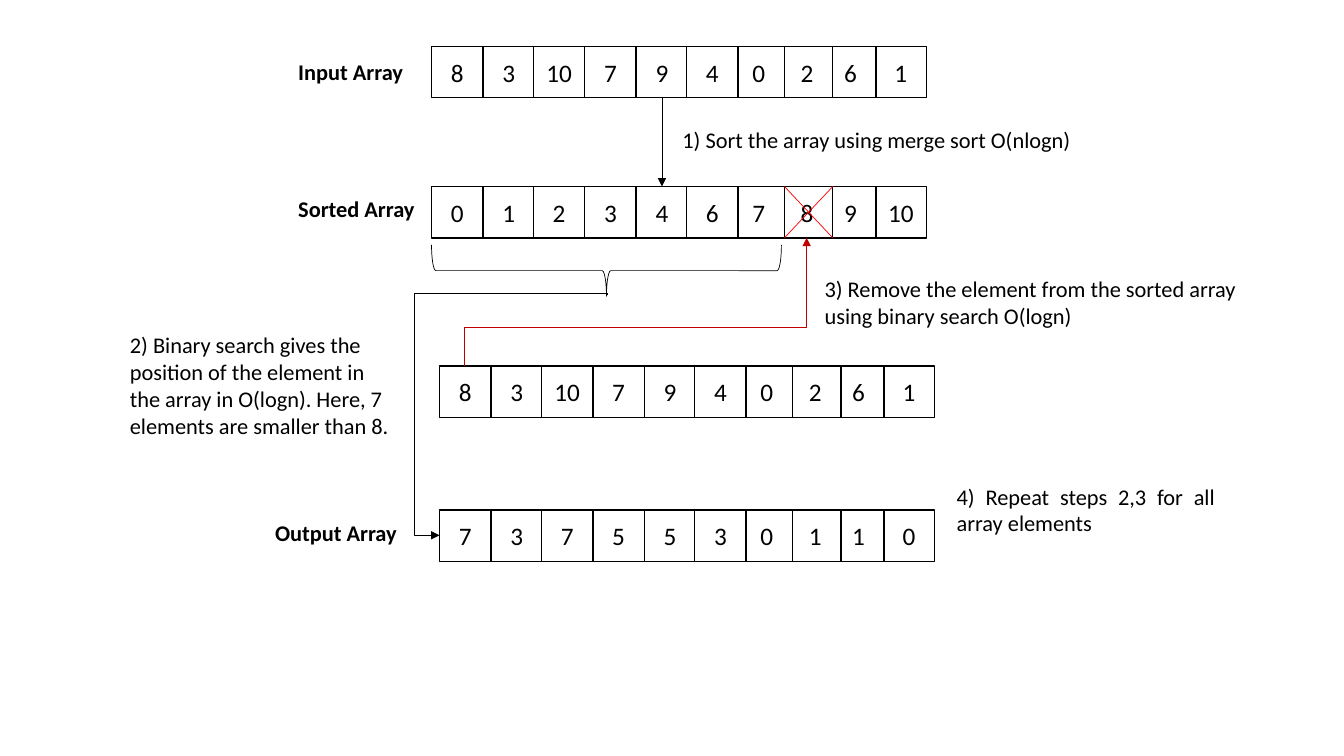
from lxml import etree
from pptx import Presentation
from pptx.dml.color import RGBColor
from pptx.enum.shapes import MSO_CONNECTOR, MSO_SHAPE
from pptx.enum.text import MSO_ANCHOR, MSO_AUTO_SIZE, PP_ALIGN
from pptx.oxml.ns import qn
from pptx.util import Inches, Pt

STRAIGHT, ELBOW = MSO_CONNECTOR.STRAIGHT, MSO_CONNECTOR.ELBOW
RECTANGLE, BRACE = MSO_SHAPE.RECTANGLE, MSO_SHAPE.RIGHT_BRACE
LEFT, CENTER, JUSTIFY = PP_ALIGN.LEFT, PP_ALIGN.CENTER, PP_ALIGN.JUSTIFY
MIDDLE = MSO_ANCHOR.MIDDLE
FIT_SHAPE = MSO_AUTO_SIZE.SHAPE_TO_FIT_TEXT
TOP_SIDE, BOTTOM_SIDE = 0, 2

COLORS = {"ink": "000000", "paper": "FFFFFF", "cross": "FF0000", "removal": "C00000"}
FONT = "Calibri"
CELL = 0.51
CELL_OFFSETS = [0, 0.51, 1.01, 1.52, 2.03, 2.53, 2.99, 3.47, 3.9, 4.4]
# Cells overlap: the left half stacks rightwards, the right half leftwards
STACKING = [0, 1, 2, 3, 4, 9, 8, 7, 6, 5]

INPUT = [8, 3, 10, 7, 9, 4, 0, 2, 6, 1]
ARRAYS = {  # name: (left, top, values)
    "input": (4.28, 0.46, INPUT),
    "sorted": (4.28, 1.85, sorted(INPUT)),
    "lookup": (4.36, 3.63, INPUT),
    "output": (4.36, 5.06, [7, 3, 7, 5, 5, 3, 0, 1, 1, 0]),
}


def color(name):
    return RGBColor.from_string(COLORS[name])


def write(frame, text, size=16, bold=False, align=LEFT):
    para = frame.paragraphs[0]
    para.alignment = align
    span = para.add_run()
    span.text = text
    span.font.name = FONT
    span.font.size = Pt(size)
    span.font.bold = bold
    span.font.color.rgb = color("ink")


def add_label(page, text, left, top, width, height, wrap=True, **text_format):
    box = page.shapes.add_textbox(Inches(left), Inches(top), Inches(width), Inches(height))
    box.text_frame.word_wrap = wrap
    box.text_frame.auto_size = FIT_SHAPE
    write(box.text_frame, text, **text_format)


def add_array(page, left, top, values):
    """Draw one row of grouped cells and return them by index."""
    group = page.shapes.add_group_shape()
    cells = {}
    for index in STACKING:
        cell = group.shapes.add_shape(
            RECTANGLE, Inches(left + CELL_OFFSETS[index]), Inches(top), Inches(CELL), Inches(CELL))
        cell.shadow.inherit = False
        cell.fill.solid()
        cell.fill.fore_color.rgb = color("paper")
        cell.line.color.rgb = color("ink")
        cell.line.width = Pt(1)
        cell.text_frame.vertical_anchor = MIDDLE
        write(cell.text_frame, str(values[index]), size=18, align=CENTER)
        cells[index] = cell
    return cells


def add_line(page, start, end, tint="ink", arrow=False, kind=STRAIGHT):
    points = [Inches(value) for value in (*start, *end)]
    line = page.shapes.add_connector(kind, *points)
    line.line.color.rgb = color(tint)
    line.line.width = Pt(0.5)
    if arrow:
        outline = line.line._get_or_add_ln()
        etree.SubElement(outline, qn("a:tailEnd"), type="triangle")
    etree.SubElement(line._element.spPr, qn("a:effectLst"))
    return line


def add_elbow(page, start, end, turn, preset, adjustments, tint="ink"):
    """Draw a bent arrow that leaves its start vertically, turned by 90 or 270 degrees."""
    middle_x, middle_y = (start[0] + end[0]) / 2, (start[1] + end[1]) / 2
    # Width and height swap because the frame is turned
    half_width, half_height = abs(end[1] - start[1]) / 2, abs(end[0] - start[0]) / 2
    elbow = add_line(page, (middle_x + half_width, middle_y + half_height),
                     (middle_x - half_width, middle_y - half_height),
                     tint, arrow=True, kind=ELBOW)
    properties = elbow._element.spPr
    properties.find(qn("a:xfrm")).set("rot", str(turn * 60000))
    geometry = properties.find(qn("a:prstGeom"))
    geometry.set("prst", preset)
    guides = geometry.find(qn("a:avLst"))
    for number, value in enumerate(adjustments, 1):
        etree.SubElement(guides, qn("a:gd"), name=f"adj{number}", fmla=f"val {round(value * 100000)}")


def add_brace(page, left, top, width, height):
    """Draw a brace that opens upwards over the given area."""
    brace = page.shapes.add_shape(
        BRACE, Inches(left + (width - height) / 2), Inches(top + (height - width) / 2),
        Inches(height), Inches(width))
    brace.rotation = 90
    brace.shadow.inherit = False
    brace.fill.background()
    brace.line.color.rgb = color("ink")
    brace.line.width = Pt(0.5)


def main():
    deck = Presentation()
    deck.slide_width, deck.slide_height = Inches(13.33), Inches(7.5)
    page = deck.slides.add_slide(deck.slide_layouts[6])

    # Arrays
    rows = {name: add_array(page, *array) for name, array in ARRAYS.items()}

    # Sorting arrow
    arrow = add_line(page, (6.56, 0.97), (6.56, 1.85), arrow=True)
    arrow.begin_connect(rows["input"][4], BOTTOM_SIDE)
    arrow.end_connect(rows["sorted"][4], TOP_SIDE)

    # Cross over the removed element
    for start_x, end_x in ((7.78, 8.26), (8.26, 7.78)):
        add_line(page, (start_x, 1.85), (end_x, 2.36), tint="cross")

    # Smaller elements and their count
    add_brace(page, 4.28, 2.43, 3.47, 0.51)
    add_elbow(page, (6.02, 2.93), (4.36, 5.31), 270, "bentConnector4", (-0.009, 1.151))

    # Removal arrow
    add_elbow(page, (4.61, 3.63), (8, 2.36), 90, "bentConnector3", (0.303,), tint="removal")

    # Steps
    add_label(page, "1) Sort the array using merge sort O(nlogn)", 6.67, 1.2, 4.1, 0.37, wrap=False)
    add_label(page, "3) Remove the element from the sorted array using binary search O(logn)",
              8.08, 2.68, 4.31, 0.64)
    add_label(page, "2) Binary search gives the position of the element in the array in O(logn). "
              "Here, 7 elements are smaller than 8.", 1.19, 3.24, 2.8, 1.18)
    add_label(page, "4) Repeat steps 2,3 for all array elements", 9.39, 4.74, 2.76, 0.64, align=JUSTIFY)

    # Array names
    for text, left, top, width in (("Input Array", 2.86, 0.53, 1.33),
                                   ("Sorted Array", 2.86, 1.89, 1.43),
                                   ("Output Array", 2.63, 5.1, 1.43)):
        add_label(page, text, left, top, width, 0.37, bold=True, align=JUSTIFY)

    deck.save("out.pptx")


if __name__ == "__main__":
    main()
